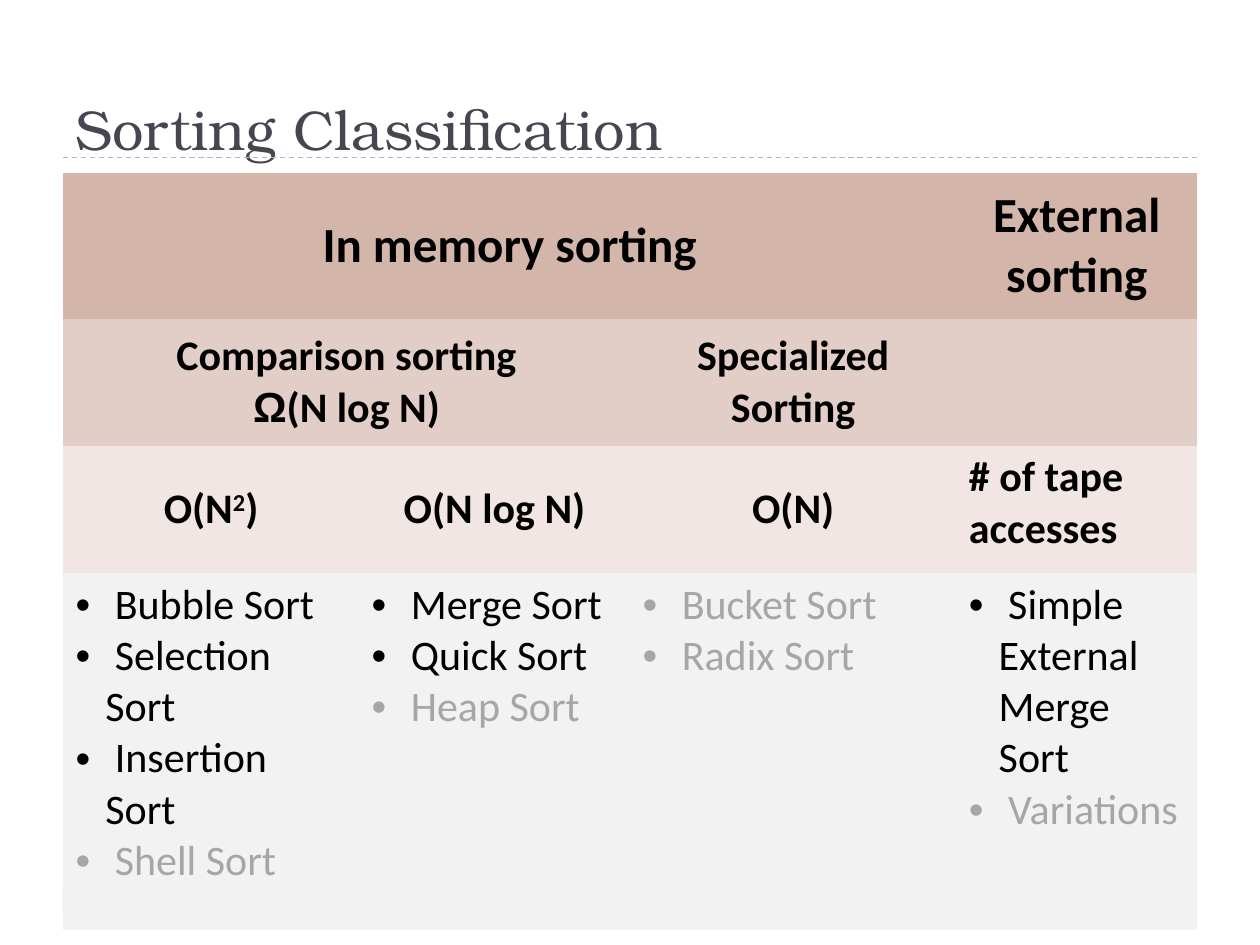
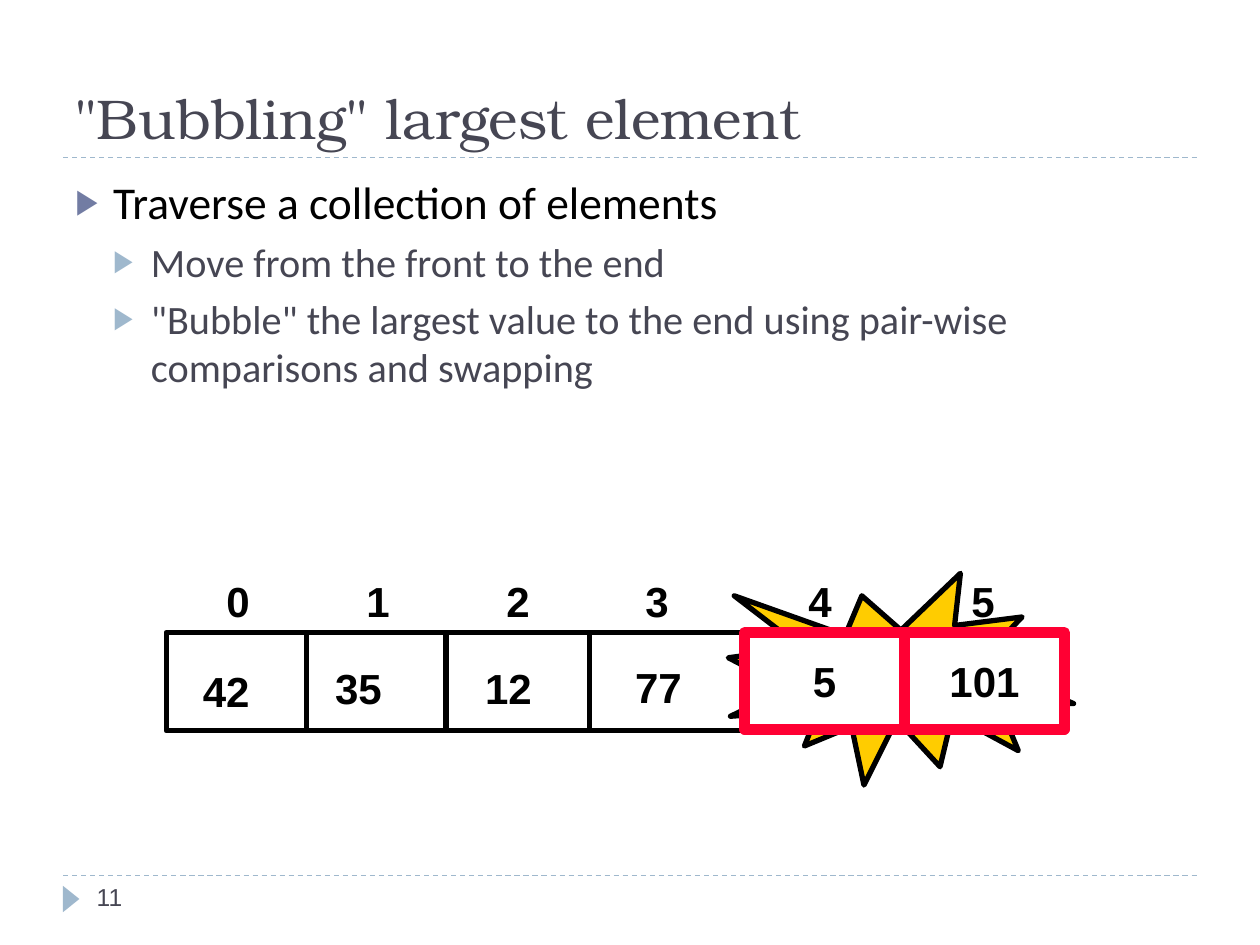
import pptx
import pptx.util
import pptx.dml.color
import pptx.enum.dml
import pptx.enum.shapes
import pptx.enum.text
import pptx.oxml
import pptx.oxml.ns
from lxml import etree

Pt = pptx.util.Pt
Shape = pptx.enum.shapes.MSO_SHAPE
Align = pptx.enum.text.PP_ALIGN
Anchor = pptx.enum.text.MSO_ANCHOR


class Theme:
    serif, sans, plain = "TeX Gyre Bonum", "Calibri", "Arial"
    ink, slate, dim = "000000", "464653", "A6A6A6"
    rule, mark = "9FB8CD", "727CA3"
    paper, gold, red = "FFFFFF", "FFCC00", "FF0033"
    bands = ["D4B5AA", "E3CEC7", "F1E6E3", "F2F2F2"]
    title, head, cell, lead, point, page = 32, 28, 24, 26, 23, 14
    bare = "{2D5ABB26-0587-4C30-8999-92F81FD0307C}"


WIDTHS = [169.2, 154.8, 186.5, 137.5]
HEIGHTS = [83.5, 72.7, 72.7, 203.8]
HEADS = [
    (0, 0, 3, [["In memory sorting"]]),
    (0, 3, 1, [["External sorting"]]),
    (1, 0, 2, [["Comparison sorting"], ["Ω", "(N log N)"]]),
    (1, 2, 1, [["Specialized Sorting"]]),
    (2, 0, 1, [["O(N", "2", ")"]]),
    (2, 1, 1, [["O(N log N)"]]),
    (2, 2, 1, [["O(N)"]]),
    (2, 3, 1, [["# of tape accesses"]]),
]
SORTS = [
    (["Bubble Sort", "Selection Sort", "Insertion Sort"], ["Shell Sort"]),
    (["Merge Sort", "Quick Sort"], ["Heap Sort"]),
    ([], ["Bucket Sort", "Radix Sort"]),
    (["Simple External Merge Sort"], ["Variations"]),
]
POINTS = [
    (0, "Traverse a collection of elements"),
    (1, "Move from the front to the end"),
    (1, "\"Bubble\" the largest value to the end using pair-wise "
        "comparisons and swapping"),
]
SLOTS = [136, 216, 296, 375.5, 468.6, 561.7]
VALUES = [("42", 129.2, 376.6), ("35", 204.8, 375.1),
          ("12", 290.5, 375.1), ("77", 376.2, 374.4)]
SPLITS = [175, 254.9, 337]
PAIR = ["5", "101"]


def rgb(code):
    return pptx.dml.color.RGBColor.from_string(code)


def style(para, size, face, color=Theme.ink, bold=False, align=None):
    font = para.font
    font.size, font.name, font.bold = Pt(size), face, bold
    font.color.rgb = rgb(color)
    para.alignment = align


def bullet(para, char, color, left, hang, scale=100):
    props = para._p.get_or_add_pPr()
    props.set("marL", str(Pt(left)))
    props.set("indent", str(-Pt(hang)))
    tag = pptx.oxml.ns.qn
    tint = etree.SubElement(props, tag("a:buClr"))
    etree.SubElement(tint, tag("a:srgbClr"), val=color)
    etree.SubElement(props, tag("a:buSzPct"), val=str(scale * 1000))
    etree.SubElement(props, tag("a:buFont"), typeface=Theme.plain)
    etree.SubElement(props, tag("a:buChar"), char=char)


def paras(frame, items):
    for num, item in enumerate(items):
        yield (frame.add_paragraph() if num else frame.paragraphs[0]), item


def line(slide, ends, color, width, dash=None):
    kind = pptx.enum.shapes.MSO_CONNECTOR.STRAIGHT
    link = slide.shapes.add_connector(kind, *map(Pt, ends))
    link.line.color.rgb = rgb(color)
    link.line.width = Pt(width)
    link.line.dash_style = dash
    etree.SubElement(link._element.spPr, pptx.oxml.ns.qn("a:effectLst"))


def shape(slide, kind, box, fill=None, edge=None, width=0):
    item = slide.shapes.add_shape(kind, *map(Pt, box))
    item.shadow.inherit = False
    if fill:
        item.fill.solid()
        item.fill.fore_color.rgb = rgb(fill)
    else:
        item.fill.background()
    if edge:
        item.line.color.rgb = rgb(edge)
        item.line.width = Pt(width)
    else:
        item.line.fill.background()
    return item


def label(slide, text, box, size=Theme.cell, color=Theme.ink, bold=True,
          align=Align.CENTER):
    frame = slide.shapes.add_textbox(*map(Pt, box)).text_frame
    frame.word_wrap = True
    frame.text = text
    style(frame.paragraphs[0], size, Theme.plain, color, bold, align)


def start(deck, text, top, tall):
    slide = deck.slides.add_slide(deck.slide_layouts[5])
    dash = pptx.enum.dml.MSO_LINE.DASH
    for y in (500.4, 90):
        line(slide, (36, y, 684, y), Theme.rule, 0.75, dash)
    mark = shape(slide, Shape.ISOSCELES_TRIANGLE, (33.1, 509, 15.1, 9.4),
                 Theme.rule)
    mark.rotation = 90
    title = slide.shapes.title
    title.left, title.top, title.width, title.height = map(
        Pt, (36, top, 648, tall))
    frame = title.text_frame
    frame.text = text
    frame.auto_size = pptx.enum.text.MSO_AUTO_SIZE.NONE
    frame.vertical_anchor = Anchor.BOTTOM
    style(frame.paragraphs[0], Theme.title, Theme.serif, Theme.slate,
          align=Align.LEFT)
    return slide


def classes(deck):
    slide = start(deck, "Sorting Classification", 5.8, 90)
    frame = slide.shapes.add_table(4, 4, Pt(36), Pt(98.6), Pt(sum(WIDTHS)),
                                   Pt(sum(HEIGHTS)))
    table = frame.table
    table._tbl.tblPr.find(
        pptx.oxml.ns.qn("a:tableStyleId")).text = Theme.bare
    table.first_row = table.horz_banding = False
    for col, wide in zip(table.columns, WIDTHS):
        col.width = Pt(wide)
    for row, tall, band in zip(table.rows, HEIGHTS, Theme.bands):
        row.height = Pt(tall)
        for cell in row.cells:
            cell.fill.solid()
            cell.fill.fore_color.rgb = rgb(band)
    for row, col, span, lines in HEADS:
        cell = table.cell(row, col)
        if span > 1:
            cell.merge(table.cell(row, col + span - 1))
        tape = (row, col) == (2, 3)
        cell.vertical_anchor = Anchor.TOP if tape else Anchor.MIDDLE
        for para, runs in paras(cell.text_frame, lines):
            style(para, Theme.cell if row else Theme.head, Theme.sans,
                  bold=True, align=Align.LEFT if tape else Align.CENTER)
            for text in runs:
                run = para.add_run()
                run.text = text
                if text == "Ω":
                    run.font.name = Theme.plain
                if text == "2":
                    run._r.get_or_add_rPr().set("baseline", "30000")
    for col, (main, rest) in enumerate(SORTS):
        items = [(name, Theme.ink) for name in main]
        items += [(name, Theme.dim) for name in rest]
        for para, (name, color) in paras(table.cell(3, col).text_frame, items):
            para.text = " " + name
            bullet(para, "•", color, 17, 17)
            style(para, Theme.cell, Theme.sans, color)


def bubble(deck):
    slide = start(deck, "\"Bubbling\" largest element", 12.2, 77.8)
    label(slide, "11", (48.2, 500.4, 156, 28.8), Theme.page, Theme.slate,
          False, Align.LEFT)
    frame = slide.shapes.add_textbox(Pt(36), Pt(95.8), Pt(648),
                                     Pt(388.8)).text_frame
    frame.word_wrap = True
    looks = [(Theme.lead, Theme.ink, Theme.mark, 6),
             (Theme.point, Theme.slate, Theme.rule, 5)]
    for para, (level, text) in paras(frame, POINTS):
        size, color, mark, gap = looks[level]
        para.text = text
        para.level = level
        bullet(para, "▶", mark, 21.6 * (level + 1), 21.6, 76)
        style(para, size, Theme.sans, color)
        para.space_before = Pt(gap)

    shape(slide, Shape.RECTANGLE, (95, 361.4, 513.4, 56.2),
          edge=Theme.ink, width=3)
    for x in SPLITS:
        line(slide, (x, 361.4, x, 417.6), Theme.ink, 3)
    for text, x, y in VALUES:
        label(slide, text, (x - 30, y, 60, 36))
    for num, x in enumerate(SLOTS):
        label(slide, str(num), (x - 30, 325.4, 60, 36))
    shape(slide, Shape.EXPLOSION1, (416.2, 327.6, 197.3, 121),
          Theme.gold, Theme.ink, 3)
    for num, text in enumerate(PAIR):
        box = shape(slide, Shape.RECTANGLE,
                    (425.5 + 91.4 * num, 361.4, 91.4, 55.4),
                    Theme.paper, Theme.red, 6)
        box.text_frame.text = text
        box.text_frame.vertical_anchor = Anchor.MIDDLE
        style(box.text_frame.paragraphs[0], Theme.cell, Theme.plain,
              bold=True, align=Align.CENTER)


def main():
    deck = pptx.Presentation()
    deck.slide_width, deck.slide_height = Pt(720), Pt(540)
    classes(deck)
    bubble(deck)
    deck.save("out.pptx")


if __name__ == "__main__":
    main()
